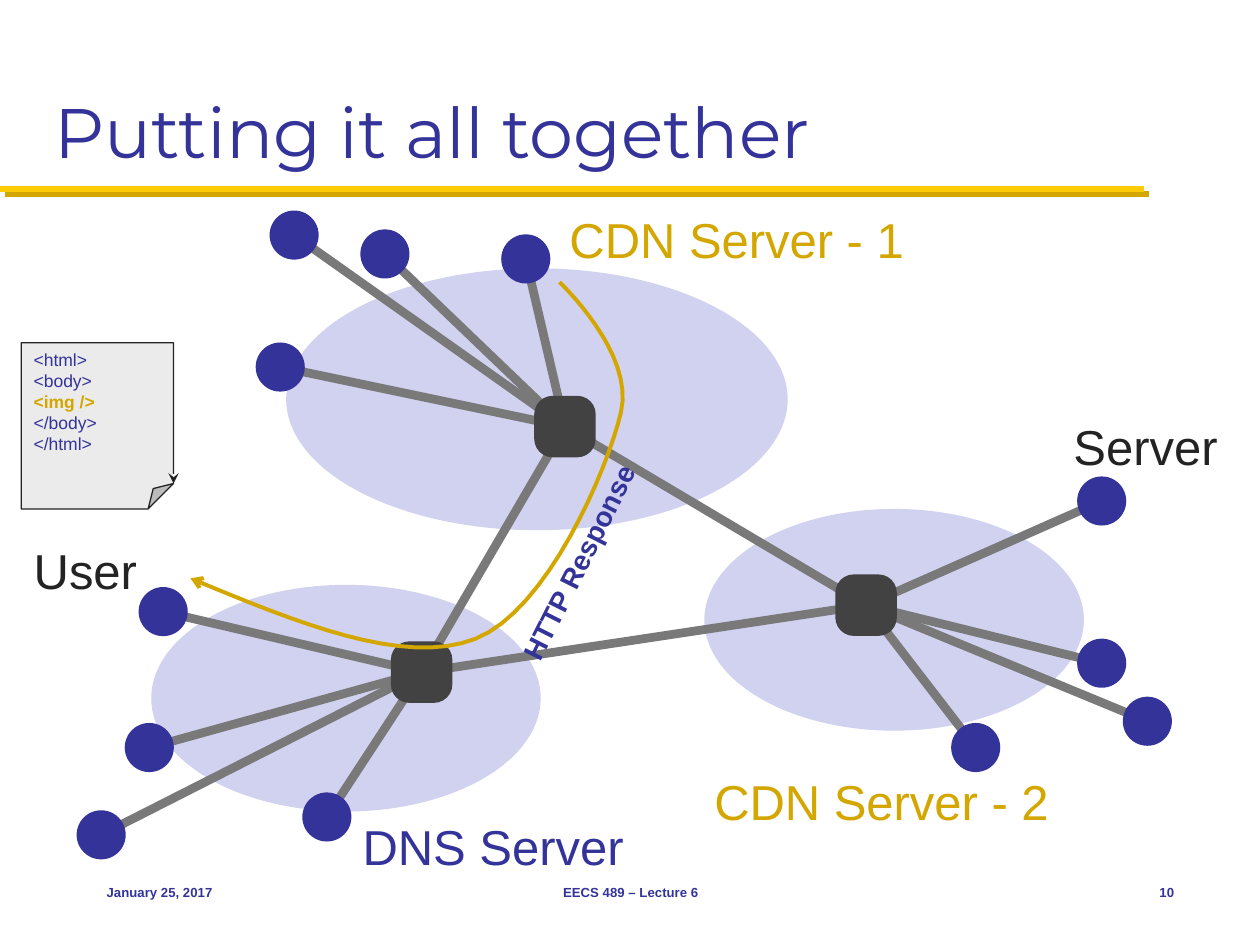
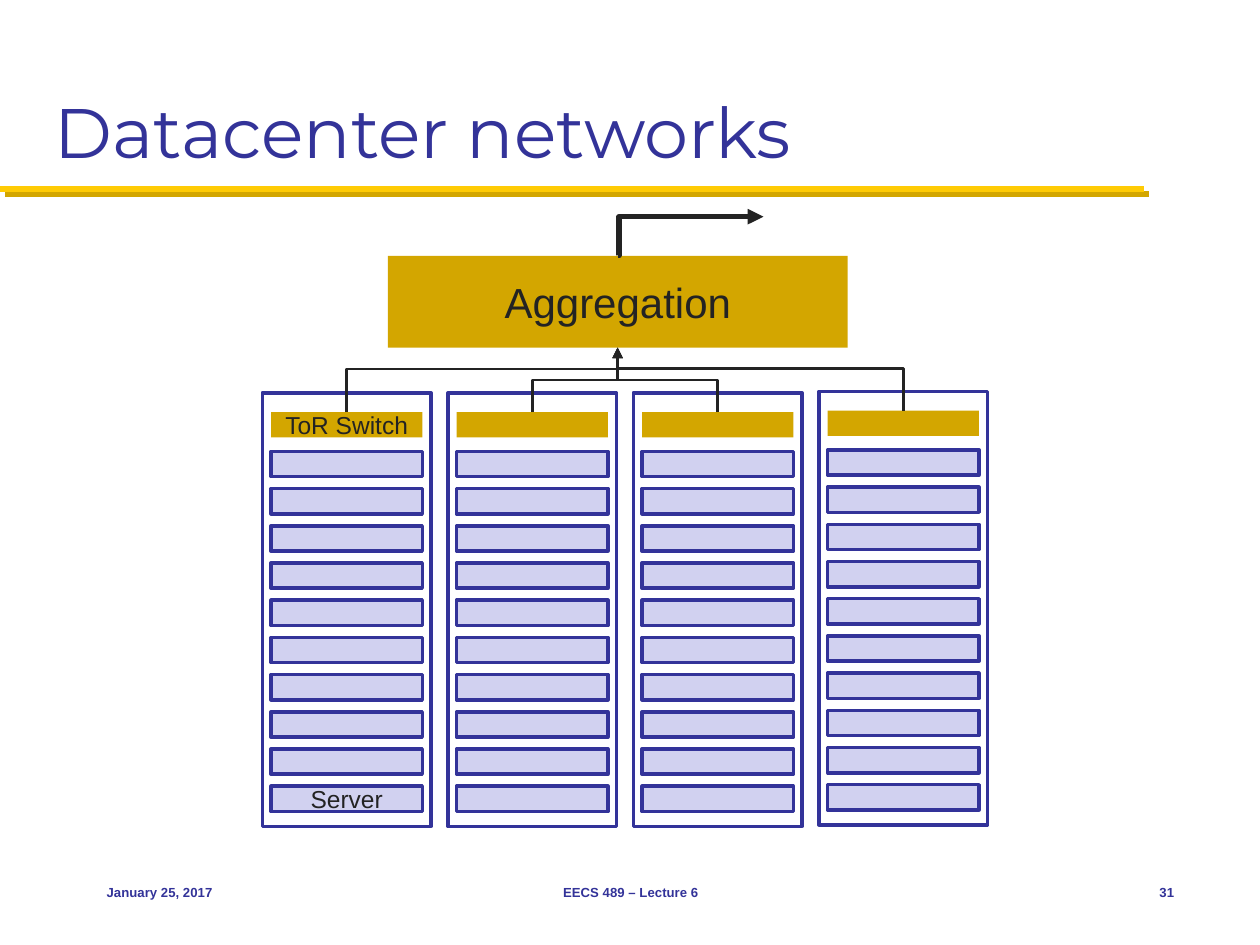
from itertools import combinations

from lxml import etree
from pptx import Presentation
from pptx.dml.color import RGBColor
from pptx.enum.shapes import MSO_CONNECTOR, MSO_SHAPE
from pptx.enum.text import MSO_ANCHOR, MSO_AUTO_SIZE, PP_ALIGN
from pptx.oxml.ns import qn
from pptx.util import Cm, Pt

RECT, OVAL = MSO_SHAPE.RECTANGLE, MSO_SHAPE.OVAL
ROUNDED, FOLDED = MSO_SHAPE.ROUNDED_RECTANGLE, MSO_SHAPE.FOLDED_CORNER
STRAIGHT, ELBOW = MSO_CONNECTOR.STRAIGHT, MSO_CONNECTOR.ELBOW
LEFT, CENTER, RIGHT = PP_ALIGN.LEFT, PP_ALIGN.CENTER, PP_ALIGN.RIGHT
TOP, MIDDLE, BOTTOM = MSO_ANCHOR.TOP, MSO_ANCHOR.MIDDLE, MSO_ANCHOR.BOTTOM

COLORS = {
    "navy": "333399", "gold": "D3A600", "yellow": "FFCB05", "pale": "D1D1F0",
    "ink": "232323", "link": "797979", "router": "424242", "paper": "EBEBEB",
}


def rgb(name):
    return RGBColor.from_string(COLORS[name])


class Deck:
    """Holds the presentation style and the slide being drawn."""

    def __init__(self):
        self.prs = Presentation()
        self.prs.slide_width, self.prs.slide_height = Cm(25.4), Cm(19.05)
        self.slide = None

    def new_slide(self, title, number):
        self.slide = self.prs.slides.add_slide(self.prs.slide_layouts[5])
        # Rule under the title, with a hard gold shadow
        rule = self.line((0, 3.81), (23.06, 3.81), "yellow", 3.5)
        effects = rule._element.spPr.find(qn("a:effectLst"))
        shadow = etree.SubElement(effects, qn("a:outerShdw"),
                                  dist=str(Pt(4.2)), dir="2700000", algn="ctr", rotWithShape="0")
        etree.SubElement(shadow, qn("a:srgbClr"), val=COLORS["gold"])
        # Title
        sp = self.slide.shapes.title
        sp.left, sp.top, sp.width, sp.height = Cm(0.84), Cm(0.43), Cm(23.7), Cm(3.18)
        tf = sp.text_frame
        tf.auto_size = MSO_AUTO_SIZE.NONE
        tf.vertical_anchor = BOTTOM
        self.set_text(tf, title, 40, "navy", LEFT, font="Montserrat")
        # Footer
        for text, left, width, align in (("January 25, 2017", 1.9, 5.28, LEFT),
                                         ("EECS 489 – Lecture 6", 8.69, 8.05, CENTER),
                                         (number, 22.22, 1.7, RIGHT)):
            sp = self.label(text, left, 17.35, width, 1.27, 7.5, "navy", align, bold=True)
            sp.text_frame.word_wrap = True
            sp.text_frame.vertical_anchor = MIDDLE

    def set_text(self, tf, text, size, color, align=LEFT, bold=False, font="Arial"):
        tf.text = text
        for p in tf.paragraphs:
            p.alignment = align
            p.font.name, p.font.size, p.font.bold = font, Pt(size), bold
            p.font.color.rgb = rgb(color)

    def label(self, text, left, top, width, height, size, color, align=LEFT, bold=False):
        sp = self.slide.shapes.add_textbox(Cm(left), Cm(top), Cm(width), Cm(height))
        sp.text_frame.word_wrap = False
        self.set_text(sp.text_frame, text, size, color, align, bold)
        return sp

    def shape(self, kind, left, top, width, height, fill=None, line=None, weight=2):
        sp = self.slide.shapes.add_shape(kind, Cm(left), Cm(top), Cm(width), Cm(height))
        sp.shadow.inherit = False
        if fill:
            sp.fill.solid()
            sp.fill.fore_color.rgb = rgb(fill)
        else:
            sp.fill.background()
        if line:
            sp.line.color.rgb = rgb(line)
            sp.line.width = Pt(weight)
        else:
            sp.line.fill.background()
        return sp

    def centered(self, kind, center, width, fill):
        x, y = center
        return self.shape(kind, x - width / 2, y - width / 2, width, width, fill)

    def caption(self, sp, text, size):
        sp.text_frame.vertical_anchor = MIDDLE
        self.set_text(sp.text_frame, text, size, "ink", CENTER)

    def line(self, start, end, color, weight, kind=STRAIGHT):
        c = self.slide.shapes.add_connector(kind, *(Cm(v) for v in (*start, *end)))
        c.line.color.rgb = rgb(color)
        c.line.width = Pt(weight)
        etree.SubElement(c._element.spPr, qn("a:effectLst"))
        return c

    def elbow(self, start, end, weight, bend):
        c = self.line(start, end, "ink", weight, ELBOW)
        guides = c._element.spPr.find(qn("a:prstGeom")).get_or_add_avLst()
        etree.SubElement(guides, qn("a:gd"), name="adj1", fmla=f"val {round(bend * 100000)}")
        self.arrow(c, "tailEnd", "triangle")
        return c

    def rising_elbow(self, start, end, weight, bend):
        """An elbow that leaves upwards: a sideways one turned by 270 degrees."""
        (x1, y1), (x2, y2) = start, end
        cx, cy, run, rise = (x1 + x2) / 2, (y1 + y2) / 2, (x2 - x1) / 2, (y1 - y2) / 2
        c = self.elbow((cx - rise, cy - run), (cx + rise, cy + run), weight, bend)
        c._element.spPr.find(qn("a:xfrm")).set("rot", "16200000")

    def arrow(self, sp, end, kind):
        etree.SubElement(sp._element.spPr.find(qn("a:ln")), qn(f"a:{end}"), type=kind)

    def curve(self, points, color, weight, steps=16):
        """Cubic Bézier pieces, each sharing its end with the next one's start."""
        track = []
        for i in range(0, len(points) - 1, 3):
            for t in (n / steps for n in range(1, steps + 1)):
                weights = ((1 - t) ** 3, 3 * t * (1 - t) ** 2, 3 * t * t * (1 - t), t ** 3)
                track.append(tuple(Cm(sum(w * p[axis] for w, p in zip(weights, points[i:i + 4])))
                                   for axis in (0, 1)))
        builder = self.slide.shapes.build_freeform(Cm(points[0][0]), Cm(points[0][1]))
        builder.add_line_segments(track, close=False)
        sp = builder.convert_to_shape()
        sp.shadow.inherit = False
        sp.fill.background()
        sp.line.color.rgb = rgb(color)
        sp.line.width = Pt(weight)
        return sp


def content_delivery(deck):
    deck.new_slide("Putting it all together", "10")

    # Networks: cloud box, and each router with its hosts
    clouds = [(14.2, 10.26, 7.65, 4.47), (5.77, 5.41, 10.11, 5.28), (3.05, 11.79, 7.85, 4.57)]
    networks = {
        (11.39, 8.6): [(5.65, 7.4), (5.93, 4.74), (7.76, 5.12), (10.6, 5.22)],
        (8.5, 13.55): [(3.29, 12.33), (3.01, 15.07), (2.04, 16.83), (6.59, 16.47)],
        (17.46, 12.2): [(22.21, 10.1), (22.21, 13.37), (23.13, 14.54), (19.67, 15.07)],
    }
    for box in clouds:
        deck.shape(OVAL, *box, "pale")
    for router, hosts in networks.items():
        for host in hosts:
            deck.line(host, router, "link", 5)
            deck.centered(OVAL, host, 0.99, "navy")
    for start, end in combinations(networks, 2):
        deck.line(start, end, "link", 5)
    for router in networks:
        deck.centered(ROUNDED, router, 1.24, "router").adjustments[0] = 0.3

    # Web page
    page = deck.shape(FOLDED, 0.43, 6.91, 3.07, 3.35, "paper", "ink", 0.75)
    deck.arrow(page, "tailEnd", "stealth")
    tf = page.text_frame
    tf.vertical_anchor = TOP
    deck.set_text(tf, "<html>\n<body>\n<img />\n</body>\n</html>", 10, "navy")
    image_tag = tf.paragraphs[2]
    image_tag.font.bold = True
    image_tag.font.color.rgb = rgb("gold")

    # Labels
    for text, left, top, width, color in (("User", 0.43, 10.77, 2.62, "ink"),
                                          ("Server", 21.39, 8.28, 3.45, "ink"),
                                          ("DNS Server", 7.06, 16.33, 5.84, "navy"),
                                          ("CDN Server - 1", 11.23, 4.09, 7.34, "gold"),
                                          ("CDN Server - 2", 14.15, 15.42, 7.34, "gold")):
        deck.label(text, left, top, width, 1.45, 28, color)

    # Response from the first CDN server to the user
    response = deck.curve([(3.84, 11.66), (5.99, 12.55), (8.13, 13.44), (9.58, 12.88),
                           (11.02, 12.32), (12.24, 9.5), (12.52, 8.31),
                           (12.8, 7.11), (11.28, 5.69), (11.28, 5.69)], "gold", 2.25)
    deck.arrow(response, "headEnd", "arrow")
    deck.label("HTTP Response", 9.25, 10.85, 4.85, 0.94, 16, "navy", bold=True).rotation = 296.8


def datacenter(deck):
    deck.new_slide("Datacenter networks", "31")
    trunk = (12.45, 7.01)
    rack_width, rack_height, rack_step = 3.4, 8.74, 3.74
    unit_width, unit_height, unit_step, servers = 3.05, 0.51, 0.75, 10

    # Racks: a switch over a stack of servers, inside a frame
    uplinks = []
    for i, top in enumerate((7.92, 7.92, 7.92, 7.89)):
        left = 5.29 + i * rack_step
        unit_left = left + (rack_width - unit_width) / 2
        switch_top = top + 0.39
        for n in range(servers):
            server = deck.shape(RECT, unit_left, top + 1.18 + n * unit_step,
                                unit_width, unit_height, "pale", "navy")
        switch = deck.shape(RECT, unit_left, switch_top, unit_width, unit_height, "gold")
        if i == 0:
            deck.caption(server, "Server", 14)
            deck.caption(switch, "ToR Switch", 14)
        deck.shape(RECT, left, top, rack_width, rack_height, line="navy")
        uplinks.append((left + rack_width / 2, switch_top))

    # Aggregation layer and its links
    deck.caption(deck.shape(RECT, 7.82, 5.16, 9.27, 1.85, "gold"), "Aggregation", 24)
    for start, bend in zip(uplinks, (0.67, 0.5, 0.5, 0.67)):
        deck.rising_elbow(start, trunk, 1.5, bend)
    deck.elbow((12.45, 5.16), (15.39, 4.37), 3, 0.01)


def main():
    deck = Deck()
    content_delivery(deck)
    datacenter(deck)
    deck.prs.save("out.pptx")


if __name__ == "__main__":
    main()
